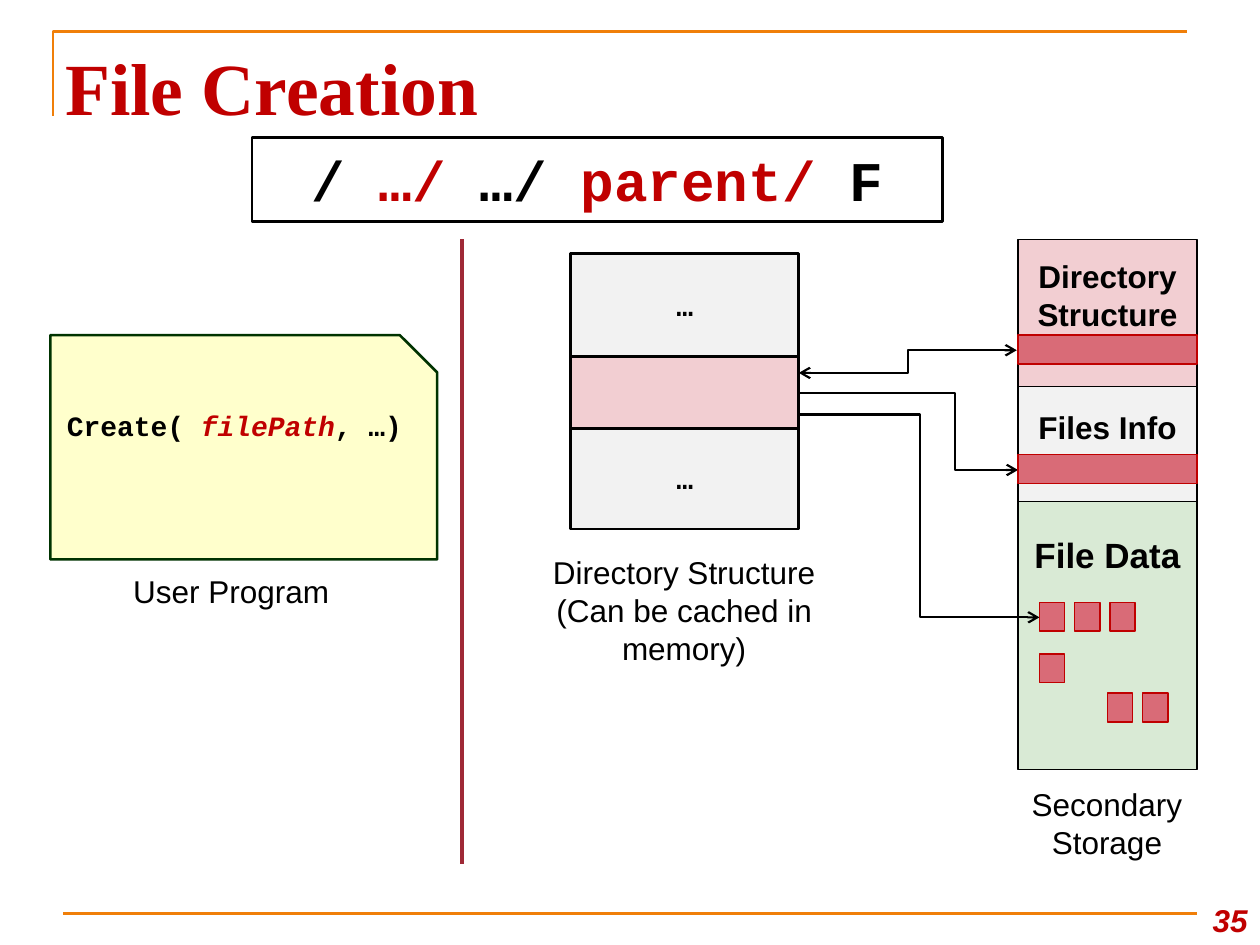
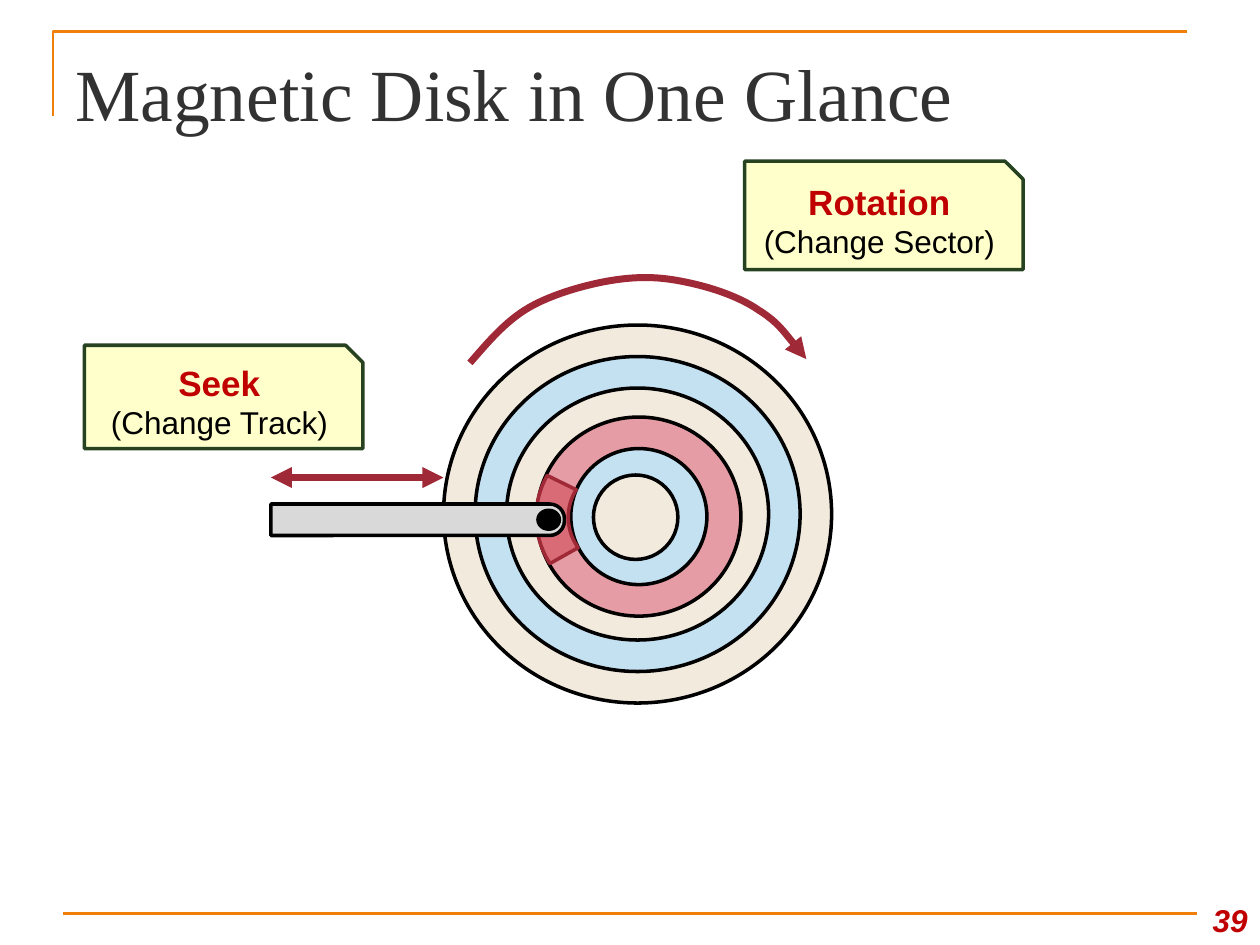
from dataclasses import dataclass
from typing import Optional

from lxml import etree
from pptx import Presentation
from pptx.dml.color import RGBColor
from pptx.enum.shapes import MSO_CONNECTOR, MSO_SHAPE
from pptx.enum.text import MSO_ANCHOR, PP_ALIGN
from pptx.oxml.ns import qn
from pptx.util import Inches, Pt

ORANGE, RED, MAROON = "F07F09", "C00000", "9F2936"
BLACK, CHARCOAL = "000000", "323232"
GREY, SILVER, ROSE, CORAL, PINK = "F2F2F2", "D9D9D9", "F2CED2", "D96B77", "E69CA4"
GREEN, NOTE, CREAM, SKY = "D9EAD5", "FFFFCC", "F3EADE", "C4E1F2"
SANS, SERIF, MONO = "Arial", "Times New Roman", "Courier New"


@dataclass(frozen=True)
class Span:
    text: str
    size: float = 18
    color: str = BLACK
    bold: bool = False
    italic: bool = False
    font: str = SANS


@dataclass(frozen=True)
class Area:
    left: float
    top: float
    width: float
    height: float

    def lengths(self) -> list:
        return [Inches(v) for v in (self.left, self.top, self.width, self.height)]


@dataclass(frozen=True)
class Block:
    """A preset shape with its look and its centred text."""
    area: Area
    fill: Optional[str] = None
    line: str = BLACK
    weight: float = 1.5
    kind: MSO_SHAPE = MSO_SHAPE.RECTANGLE
    paras: tuple = ()
    wrap: bool = True
    bottom: float = 0.05
    rotation: float = 0
    adjustments: tuple = ()


@dataclass(frozen=True)
class Link:
    start: tuple
    end: tuple
    color: str = BLACK
    weight: float = 1.25
    kind: MSO_CONNECTOR = MSO_CONNECTOR.STRAIGHT
    head: str = ""
    tail: str = ""
    bend: float = 0.5


def rgb(value: str) -> RGBColor:
    return RGBColor.from_string(value)


def write(frame, paras, align=PP_ALIGN.CENTER, **frame_format) -> None:
    """Fill a text frame; each paragraph is a tuple of spans."""
    for name, value in {"word_wrap": True, **frame_format}.items():
        setattr(frame, name, value)
    for index, spans in enumerate(paras):
        para = frame.add_paragraph() if index else frame.paragraphs[0]
        para.alignment = align
        for span in spans:
            run = para.add_run()
            run.text = span.text
            values = {"name": span.font, "size": Pt(span.size),
                      "bold": span.bold, "italic": span.italic}
            for name, value in values.items():
                setattr(run.font, name, value)
            run.font.color.rgb = rgb(span.color)


def add_text(page, area: Area, *paras, **text_format) -> None:
    write(page.shapes.add_textbox(*area.lengths()).text_frame, paras, **text_format)


def set_line(shape, color: str, weight: float) -> None:
    shape.line.color.rgb = rgb(color)
    shape.line.width = Pt(weight)


def add_arrowheads(shape, head: str = "", tail: str = "") -> None:
    line = shape.line._get_or_add_ln()
    for tag, kind in (("a:headEnd", head), ("a:tailEnd", tail)):
        if kind:
            etree.SubElement(line, qn(tag), type=kind)


def add_block(page, block: Block) -> None:
    shape = page.shapes.add_shape(block.kind, *block.area.lengths())
    shape.shadow.inherit = False
    shape.rotation = block.rotation
    for index, value in enumerate(block.adjustments):
        shape.adjustments[index] = value
    if block.fill:
        shape.fill.solid()
        shape.fill.fore_color.rgb = rgb(block.fill)
    else:
        shape.fill.background()
    set_line(shape, block.line, block.weight)
    if block.paras:
        write(shape.text_frame, block.paras, word_wrap=block.wrap,
              margin_bottom=Inches(block.bottom))


def add_link(page, link: Link) -> None:
    ends = [Inches(v) for v in (*link.start, *link.end)]
    connector = page.shapes.add_connector(link.kind, *ends)
    set_line(connector, link.color, link.weight)
    add_arrowheads(connector, link.head, link.tail)
    properties = connector._element.spPr
    etree.SubElement(properties, qn("a:effectLst"))
    if link.bend != 0.5:
        guides = properties.find(qn("a:prstGeom")).get_or_add_avLst()
        etree.SubElement(guides, qn("a:gd"), name="adj1",
                         fmla=f"val {round(link.bend * 100000)}")


def add_outline(page, points, color: str, weight: float):
    start, *others = [(Inches(x), Inches(y)) for x, y in points]
    builder = page.shapes.build_freeform(*start)
    builder.add_line_segments(others, close=False)
    shape = builder.convert_to_shape()
    shape.shadow.inherit = False
    shape.fill.background()
    set_line(shape, color, weight)
    return shape


def bend_outline(shape) -> None:
    """Turn every three line segments into one cubic curve."""
    segments = list(shape._element.iter(qn("a:lnTo")))
    for first in range(0, len(segments), 3):
        curve = etree.Element(qn("a:cubicBezTo"))
        segments[first].addprevious(curve)
        for segment in segments[first:first + 3]:
            curve.append(segment[0])
            segment.getparent().remove(segment)


def add_page(deck, title: Span, title_area: Area, number: int):
    page = deck.slides.add_slide(deck.slide_layouts[6])
    add_outline(page, [(0.42, 0.92), (0.42, 0.25), (9.42, 0.25)], ORANGE, 1.5)
    add_link(page, Link((0.5, 7.25), (9.5, 7.25), ORANGE, 1.5))
    add_text(page, title_area, (title,), align=PP_ALIGN.LEFT,
             vertical_anchor=MSO_ANCHOR.BOTTOM, margin_bottom=0)
    add_text(page, Area(9.42, 7, 0.58, 0.5),
             (Span(str(number), color=RED, bold=True, italic=True),),
             align=PP_ALIGN.RIGHT, vertical_anchor=MSO_ANCHOR.BOTTOM)
    return page


def code(text: str, size: float = 16, color: str = BLACK, italic: bool = False) -> Span:
    return Span(text, size, color, True, italic, MONO)


def build_file_creation(deck) -> None:
    title = Span("File Creation", 42, RED, True, font=SERIF)
    page = add_page(deck, title, Area(0.42, 0.25, 9, 0.78), 35)

    path_parts = (("/ ", BLACK), ("…/ ", RED), ("…/ ", BLACK), ("parent/ ", RED), ("F", BLACK))
    path_line = tuple(code(text, 32, color) for text, color in path_parts)
    add_block(page, Block(Area(2, 1.09, 5.48, 0.67), paras=(path_line,), wrap=False))

    call = (code("Create( "), code("filePath", color=RED, italic=True), code(", …)"))
    add_block(page, Block(Area(0.4, 2.66, 3.07, 1.78), NOTE, "003300",
                          kind=MSO_SHAPE.SNIP_1_RECTANGLE, paras=(call,), bottom=0.54))
    add_link(page, Link((3.67, 1.9), (3.67, 6.86), MAROON, 2.25))

    dots = ((code("…"),),)
    for top, height, fill, paras in ((2.01, 0.82, GREY, dots), (2.83, 0.57, ROSE, ()),
                                     (3.4, 0.8, GREY, dots)):
        add_block(page, Block(Area(4.53, top, 1.81, height), fill, paras=paras, wrap=False))

    captions = (
        (Area(4.13, 4.34, 2.6, 1.01), ("Directory Structure", "(Can be cached in memory)")),
        (Area(0.69, 4.49, 2.29, 0.4), ("User Program",)),
        (Area(7.64, 6.18, 2.29, 0.71), ("Secondary", "Storage")),
    )
    for area, lines in captions:
        add_text(page, area, *((Span(line),) for line in lines))

    storage_regions = (
        ("Directory Structure", 18, 1.9, 1.17, ROSE, 0.34),
        ("Files Info", 18, 3.07, 0.92, GREY, 0.34),
        ("File Data", 20, 3.98, 2.13, GREEN, 1.33),
    )
    for label, size, top, height, fill, bottom in storage_regions:
        add_block(page, Block(Area(8.08, top, 1.42, height), fill, weight=0.75,
                              paras=((Span(label, size, bold=True),),), bottom=bottom))

    elbow = MSO_CONNECTOR.ELBOW
    for link in (
        Link((6.34, 2.96), (8.07, 2.78), kind=elbow, head="arrow", tail="arrow"),
        Link((6.35, 3.12), (8.08, 3.73), kind=elbow, tail="arrow", bend=0.71),
        Link((6.35, 3.29), (8.25, 4.9), kind=elbow, tail="arrow"),
    ):
        add_link(page, link)

    records = [Area(8.08, top, 1.42, 0.23) for top in (2.66, 3.61)]
    for left, top, count in ((8.25, 4.78, 3), (8.25, 5.19, 1), (8.79, 5.5, 2)):
        records += [Area(left + 0.28 * step, top, 0.2, 0.23) for step in range(count)]
    for area in records:
        add_block(page, Block(area, CORAL, RED, 0.75))


def build_magnetic_disk(deck) -> None:
    title = Span("Magnetic Disk in One Glance", 42, CHARCOAL, font=SERIF)
    page = add_page(deck, title, Area(0.5, 0.3, 9, 0.78), 39)

    oval = MSO_SHAPE.OVAL
    for ring, fill in enumerate((CREAM, SKY, CREAM)):
        inset = 0.25 * ring
        area = Area(3.52 + inset, 2.58 + inset, 3.08 - 2 * inset, 3 - 2 * inset)
        add_block(page, Block(area, fill, weight=2, kind=oval))
    for block in (
        Block(Area(4.28, 3.29, 1.58, 1.62), PINK, weight=2, kind=oval, rotation=90),
        Block(Area(4.53, 3.56, 1.08, 1.08), SKY, weight=2, kind=oval, rotation=90),
        Block(Area(4.31, 3.34, 1.42, 1.53), CORAL, MAROON, 2, MSO_SHAPE.BLOCK_ARC,
              rotation=270, adjustments=(144.42, 177.66, 0.18)),
        Block(Area(4.71, 3.77, 0.67, 0.67), CREAM, weight=2, kind=oval, rotation=90),
        Block(Area(3.19, 2.96, 0.25, 2.33), SILVER, weight=2,
              kind=MSO_SHAPE.ROUND_2_SAME_RECTANGLE, rotation=90, adjustments=(0.47, 0)),
        Block(Area(4.27, 4.05, 0.17, 0.15), BLACK, weight=2, kind=oval),
    ):
        add_block(page, block)

    rotation_curve = [
        (3.73, 2.88), (3.87, 2.72), (4.01, 2.55), (4.2, 2.44),
        (4.39, 2.33), (4.68, 2.25), (4.89, 2.22),
        (5.1, 2.19), (5.26, 2.2), (5.45, 2.24),
        (5.64, 2.28), (5.86, 2.35), (6.02, 2.46),
        (6.18, 2.56), (6.4, 2.85), (6.4, 2.85),
    ]
    rotation_arrow = add_outline(page, rotation_curve, MAROON, 4)
    bend_outline(rotation_arrow)
    add_arrowheads(rotation_arrow, tail="triangle")
    add_link(page, Link((2.15, 3.79), (3.52, 3.79), MAROON, 4, head="triangle", tail="triangle"))

    for name, effect, area in (
        ("Rotation", "(Change Sector)", Area(5.91, 1.28, 2.21, 0.86)),
        ("Seek", "(Change Track)", Area(0.67, 2.74, 2.21, 0.82)),
    ):
        add_block(page, Block(area, NOTE, "274221", 2, MSO_SHAPE.SNIP_1_RECTANGLE,
                              ((Span(name, 20, RED, True),), (Span(effect),))))


def main() -> None:
    deck = Presentation()
    deck.slide_width, deck.slide_height = Inches(10), Inches(7.5)
    build_file_creation(deck)
    build_magnetic_disk(deck)
    deck.save("out.pptx")


if __name__ == "__main__":
    main()
